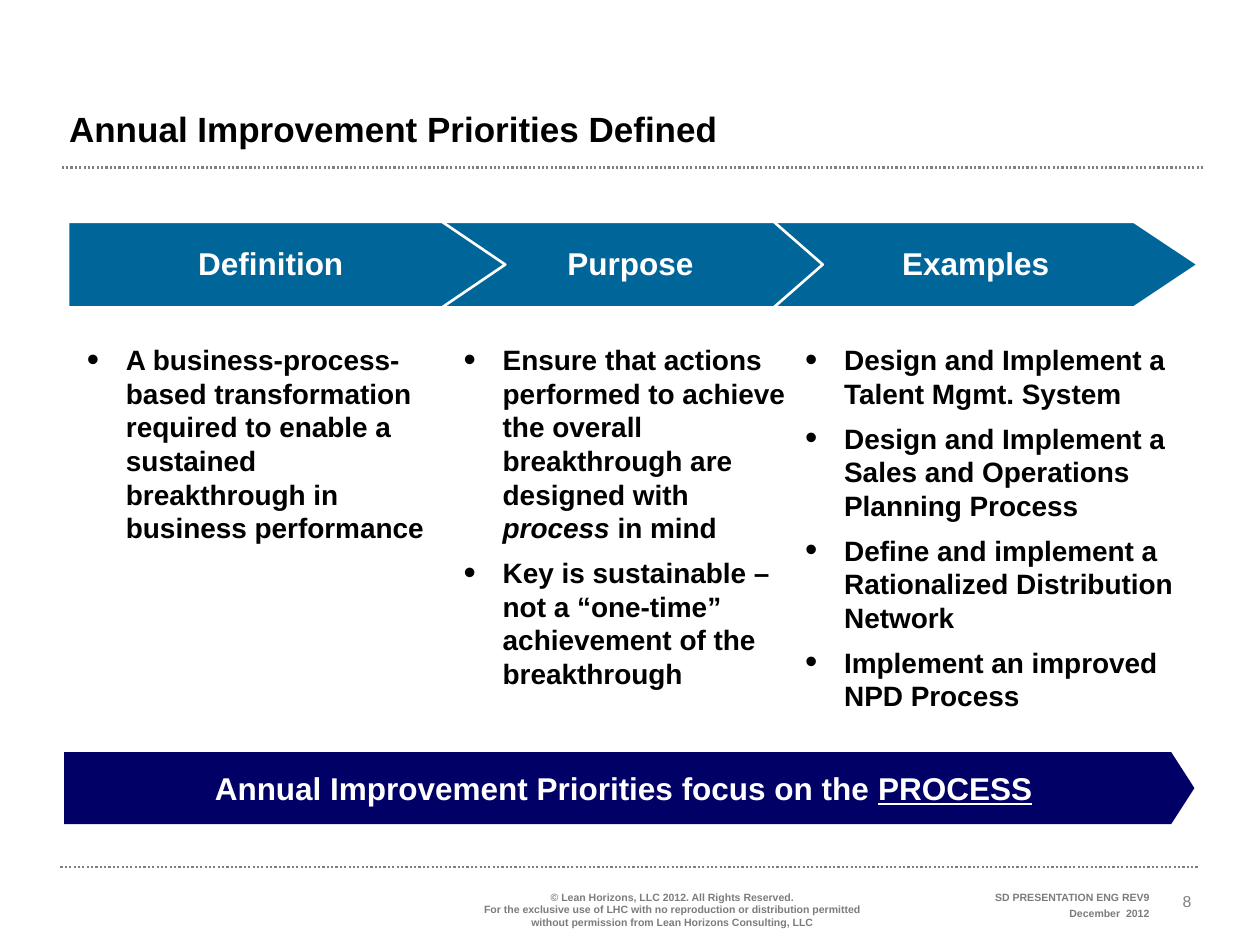
"""Build the slide defining annual improvement priorities."""
from lxml import etree
from pptx import Presentation
from pptx.dml.color import RGBColor
from pptx.enum.dml import MSO_LINE
from pptx.enum.shapes import MSO_CONNECTOR, MSO_SHAPE
from pptx.enum.text import MSO_ANCHOR, PP_ALIGN
from pptx.oxml.ns import qn
from pptx.util import Inches, Pt

LEFT, CENTER, RIGHT = PP_ALIGN.LEFT, PP_ALIGN.CENTER, PP_ALIGN.RIGHT
TOP, MIDDLE, BOTTOM = MSO_ANCHOR.TOP, MSO_ANCHOR.MIDDLE, MSO_ANCHOR.BOTTOM
PENTAGON, STRAIGHT = MSO_SHAPE.PENTAGON, MSO_CONNECTOR.STRAIGHT
DOTTED = MSO_LINE.ROUND_DOT

THEME = {
    "font": "Arial",
    "black": "000000", "white": "FFFFFF", "blue": "006699", "navy": "000066",
    "rule": "808080", "footer": "7C7C7C",
    "title": 20, "heading": 18, "body": 16, "number": 9, "small": 6,
}

TITLE = "Annual Improvement Priorities Defined"
COLUMNS = [
    {"heading": "Definition", "arrow": (0.54, 3.47, 0.738), "align": CENTER, "inset": 0.05,
     "body": (0.61, 2.89),
     "bullets": [[("A business-process-based transformation required to enable a "
                   "sustained breakthrough in business performance", "")]]},
    {"heading": "Purpose", "arrow": (3.53, 3, 0.571), "align": CENTER, "inset": 0.24,
     "body": (3.6, 2.79),
     "bullets": [[("Ensure that actions performed to achieve the overall breakthrough "
                   "are designed with ", ""), ("process ", "italic"), ("in mind", "")],
                 [("Key is sustainable – not a “one-time” achievement of the "
                   "breakthrough", "")]]},
    {"heading": "Examples", "arrow": (6.07, 3.44, 0.751), "align": LEFT, "inset": 1.09,
     "body": (6.31, 3.12),
     "bullets": [[("Design and Implement a Talent Mgmt. System", "")],
                 [("Design and Implement a Sales and Operations Planning Process", "")],
                 [("Define and implement a Rationalized Distribution Network", "")],
                 [("Implement an improved NPD Process", "")]]},
]
CONCLUSION = [("Annual Improvement Priorities focus on the ", ""), ("PROCESS", "underline")]
COPYRIGHT = ("© Lean Horizons, LLC 2012. All Rights Reserved.\n"
             "For the exclusive use of LHC with no reproduction or distribution permitted "
             "without permission from Lean Horizons Consulting, LLC")
REVISION = ["SD PRESENTATION ENG REV9", "December  2012"]
PAGE_NUMBER = "8"
RULES = [(0.49, 9.56, 1.33), (0.48, 9.52, 6.88)]


def color(name):
    return RGBColor.from_string(THEME[name])


def add_bullet(para):
    properties = para._p.get_or_add_pPr()
    properties.set("marL", str(Inches(0.31)))
    properties.set("indent", str(Inches(-0.31)))
    etree.SubElement(properties, qn("a:buSzPct"), val="125000")
    etree.SubElement(properties, qn("a:buFont"), typeface=THEME["font"])
    etree.SubElement(properties, qn("a:buChar"), char="•")


def write(box, paragraphs, size, ink, align=LEFT, anchor=TOP, insets=(0.1, 0.05),
          gap=0, spacing=None, bold=True, bulleted=False):
    frame = box.text_frame
    frame.word_wrap = True
    frame.vertical_anchor = anchor
    frame.margin_left = Inches(insets[0])
    frame.margin_right = Inches(min(insets[0], 0.1))
    frame.margin_top = frame.margin_bottom = Inches(insets[1])
    for index, content in enumerate(paragraphs):
        para = frame.add_paragraph() if index else frame.paragraphs[0]
        para.alignment = align
        if index:
            para.space_before = Pt(gap)
        if spacing:
            para.line_spacing = spacing
        if bulleted:
            add_bullet(para)
        if isinstance(content, str):
            para.text = content
        else:
            for text, style in content:
                span = para.add_run()
                span.text = text
                if style:
                    setattr(span.font, style, True)
        for span in para.runs:
            span.font.name = THEME["font"]
            span.font.size = Pt(THEME[size])
            span.font.bold = bold
            span.font.color.rgb = color(ink)


def add_text(page, area, *content, **layout):
    write(page.shapes.add_textbox(*map(Inches, area)), *content, **layout)


def add_arrow(page, area, point, fill, outlined):
    arrow = page.shapes.add_shape(PENTAGON, *map(Inches, area))
    arrow.adjustments[0] = point
    arrow.shadow.inherit = False
    arrow.fill.solid()
    arrow.fill.fore_color.rgb = color(fill)
    if outlined:
        arrow.line.color.rgb = color("white")
        arrow.line.width = Pt(1.5)
    else:
        arrow.line.fill.background()
    return arrow


def add_rule(page, start, end, top):
    rule = page.shapes.add_connector(STRAIGHT, *map(Inches, (start, top, end, top)))
    rule.line.color.rgb = color("rule")
    rule.line.width = Pt(1.25)
    rule.line.dash_style = DOTTED
    etree.SubElement(rule._element.spPr, qn("a:effectLst"))


def main():
    deck = Presentation()
    deck.slide_width, deck.slide_height = Inches(10), Inches(7.5)
    page = deck.slides.add_slide(deck.slide_layouts[6])

    for rule in RULES:
        add_rule(page, *rule)
    add_text(page, (9.16, 6.88, 0.52, 0.4), [PAGE_NUMBER], "number", "rule",
             align=CENTER, anchor=BOTTOM, bold=False)
    add_text(page, (7.23, 7.02, 1.99, 0.33), REVISION, "small", "footer", align=RIGHT, gap=2)
    add_text(page, (3.6, 7.02, 3.47, 0.4), [COPYRIGHT], "small", "footer", align=CENTER)
    add_text(page, (0.45, 0.77, 9.07, 0.57), [TITLE], "title", "black",
             anchor=MIDDLE, spacing=0.8)

    for column in reversed(COLUMNS):
        left, width, point = column["arrow"]
        arrow = add_arrow(page, (left, 1.76, width, 0.68), point, "blue", True)
        write(arrow, [column["heading"]], "heading", "white", align=column["align"],
              anchor=MIDDLE, insets=(column["inset"], 0.05), spacing=0.95)
        left, width = column["body"]
        add_text(page, (left, 2.68, width, 2.75), column["bullets"], "body", "black",
                 insets=(0.08, 0.04), gap=6.4, bulleted=True)

    banner = add_arrow(page, (0.51, 5.97, 8.97, 0.57), 0.322, "navy", False)
    write(banner, [CONCLUSION], "heading", "white", align=CENTER, anchor=MIDDLE)
    deck.save("out.pptx")


if __name__ == "__main__":
    main()
